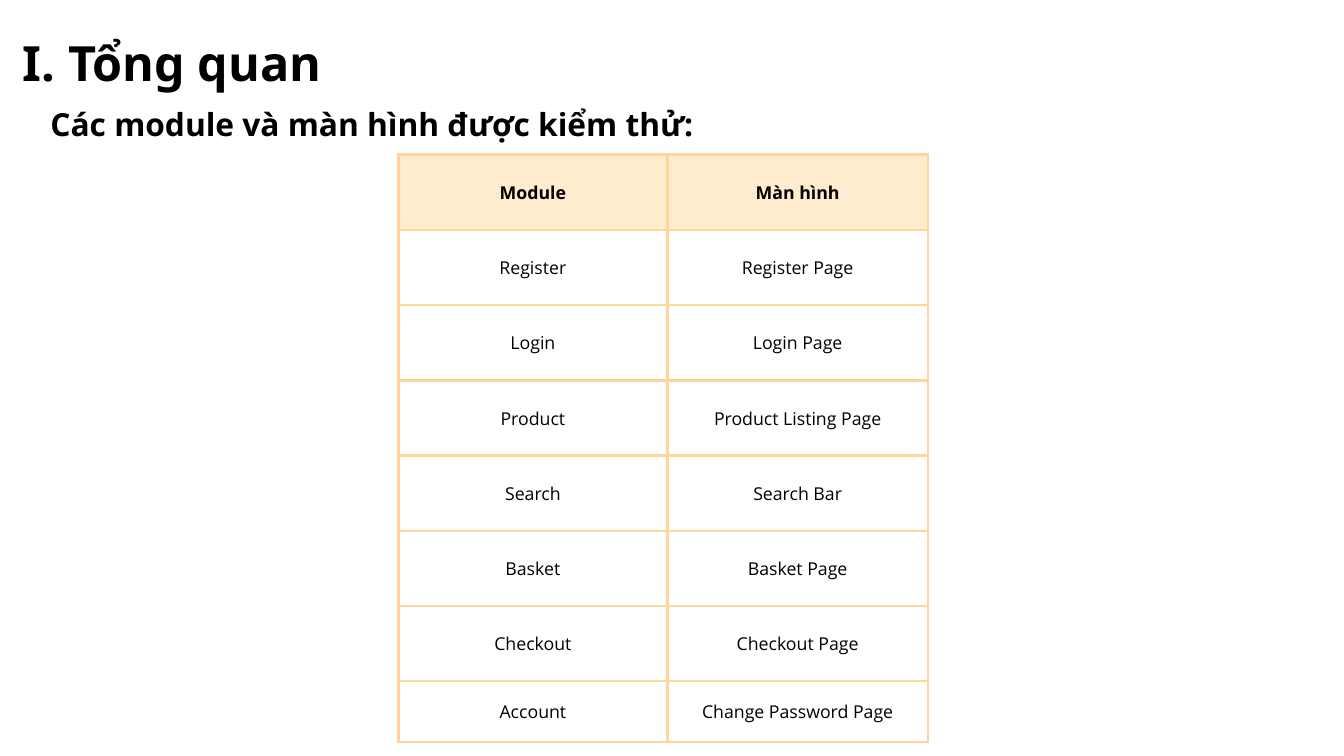
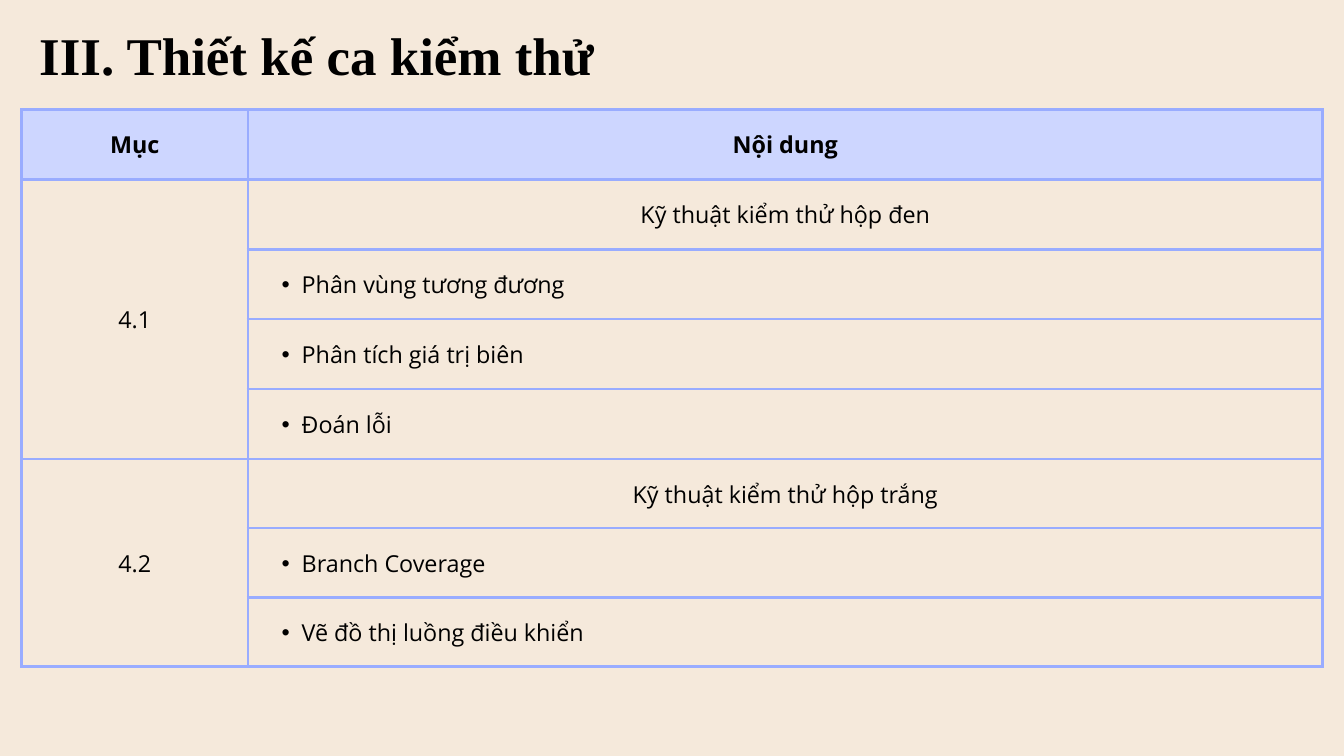
from lxml import etree
from pptx import Presentation
from pptx.dml.color import RGBColor
from pptx.enum.text import MSO_ANCHOR, MSO_AUTO_SIZE, PP_ALIGN
from pptx.oxml import parse_xml
from pptx.oxml.ns import qn
from pptx.util import Pt

PX = 9144  # 100 px to the inch
LEFT, MID = PP_ALIGN.LEFT, PP_ALIGN.CENTER
ANCHOR, GROW = MSO_ANCHOR.MIDDLE, MSO_AUTO_SIZE.SHAPE_TO_FIT_TEXT
NS = "http://schemas.openxmlformats.org/drawingml/2006/main"
INK, BODY, PAD = "000000", "Open Sans", 21


def rgb(code):
    return RGBColor.from_string(code)


def style(para, face, size, lead, bold, align):
    para.alignment = align
    para.line_spacing = Pt(lead)
    for run in para.runs:
        font = run.font
        font.name, font.size, font.bold = face, Pt(size), bold
        font.color.rgb = rgb(INK)


# Each slide: background, headings, and one table
slides = [
    {
        "back": "FFFFFF",
        "heads": [
            ("I. Tổng quan", (34, 35, 1521, 97), "Noto Sans", 52, 72.8, LEFT),
            ("Các module và màn hình được kiểm thử:", (75, 146, 1648, 63),
             "Noto Sans", 34, 47.6, LEFT),
        ],
        "at": (593, 230), "cols": [400, 388], "rows": [112] * 7 + [90],
        "line": "FFD699", "band": "FFEBCD", "size": 19, "lead": 26.6,
        "cells": [
            ("Module", "Màn hình"),
            ("Register", "Register Page"),
            ("Login", "Login Page"),
            ("Product", "Product Listing Page"),
            ("Search", "Search Bar"),
            ("Basket", "Basket Page"),
            ("Checkout", "Checkout Page"),
            ("Account", "Change Password Page"),
        ],
        "spans": [],
    },
    {
        "back": "F5E9DB",
        "heads": [
            ("III. Thiết kế ca kiểm thử", (58, 17, 826, 110),
             "Times New Roman", 56.8, 79.5, MID),
        ],
        "at": (32, 163), "cols": [337, 1599], "rows": [104] * 5 + [103] * 3,
        "line": "99ACFF", "band": "CDD6FF", "size": 25, "lead": 35,
        "cells": [
            ("Mục", "Nội dung"),
            ("4.1", "Kỹ thuật kiểm thử hộp đen"),
            ("", "Phân vùng tương đương"),
            ("", "Phân tích giá trị biên"),
            ("", "Đoán lỗi"),
            ("4.2", "Kỹ thuật kiểm thử hộp trắng"),
            ("", "Branch Coverage"),
            ("", "Vẽ đồ thị luồng điều khiển"),
        ],
        "spans": [(1, 4), (5, 7)],
    },
]

deck = Presentation()
deck.slide_width, deck.slide_height = 2000 * PX, 1125 * PX

for page in slides:
    slide = deck.slides.add_slide(deck.slide_layouts[6])
    fill = slide.background.fill
    fill.solid()
    fill.fore_color.rgb = rgb(page["back"])

    # Table grid
    rows, cols = page["rows"], page["cols"]
    box = [n * PX for n in (*page["at"], sum(cols), sum(rows))]
    table = slide.shapes.add_table(len(rows), len(cols), *box).table
    table.first_row = table.horz_banding = False
    for col, width in zip(table.columns, cols):
        col.width = width * PX
    for row, height in zip(table.rows, rows):
        row.height = height * PX

    # Cells: a row with no label holds a bullet
    for r, texts in enumerate(page["cells"]):
        for c, text in enumerate(texts):
            cell = table.cell(r, c)
            cell.text_frame.text = text
            cell.vertical_anchor = ANCHOR
            cell.margin_left = cell.margin_right = PAD * PX
            cell.margin_top = cell.margin_bottom = PAD * PX
            para = cell.text_frame.paragraphs[0]
            bullet = text and not texts[0]
            if bullet:
                para.level = 1
                props = para._p.get_or_add_pPr()
                props.set("marL", str(59 * PX))
                props.set("indent", str(-30 * PX))
                etree.SubElement(props, qn("a:buFont"), typeface="Arial")
                etree.SubElement(props, qn("a:buChar"), char="•")
            style(para, BODY, page["size"], page["lead"], r == 0,
                  LEFT if bullet else MID)

            # Borders, then fill
            props = cell._tc.get_or_add_tcPr()
            for side in "LRTB":
                props.append(parse_xml(
                    f'<a:ln{side} xmlns:a="{NS}" w="{Pt(3)}"><a:solidFill>'
                    f'<a:srgbClr val="{page["line"]}"/></a:solidFill></a:ln{side}>'))
            if r == 0:
                cell.fill.solid()
                cell.fill.fore_color.rgb = rgb(page["band"])
            else:
                cell.fill.background()
    for first, last in page["spans"]:
        table.cell(first, 0).merge(table.cell(last, 0))

    # Headings
    for text, place, face, size, lead, align in page["heads"]:
        frame = slide.shapes.add_textbox(*[n * PX for n in place]).text_frame
        frame.margin_left = frame.margin_right = 0
        frame.margin_top = frame.margin_bottom = 0
        frame.word_wrap = True
        frame.auto_size = GROW
        frame.text = text
        style(frame.paragraphs[0], face, size, lead, True, align)

deck.save("out.pptx")
